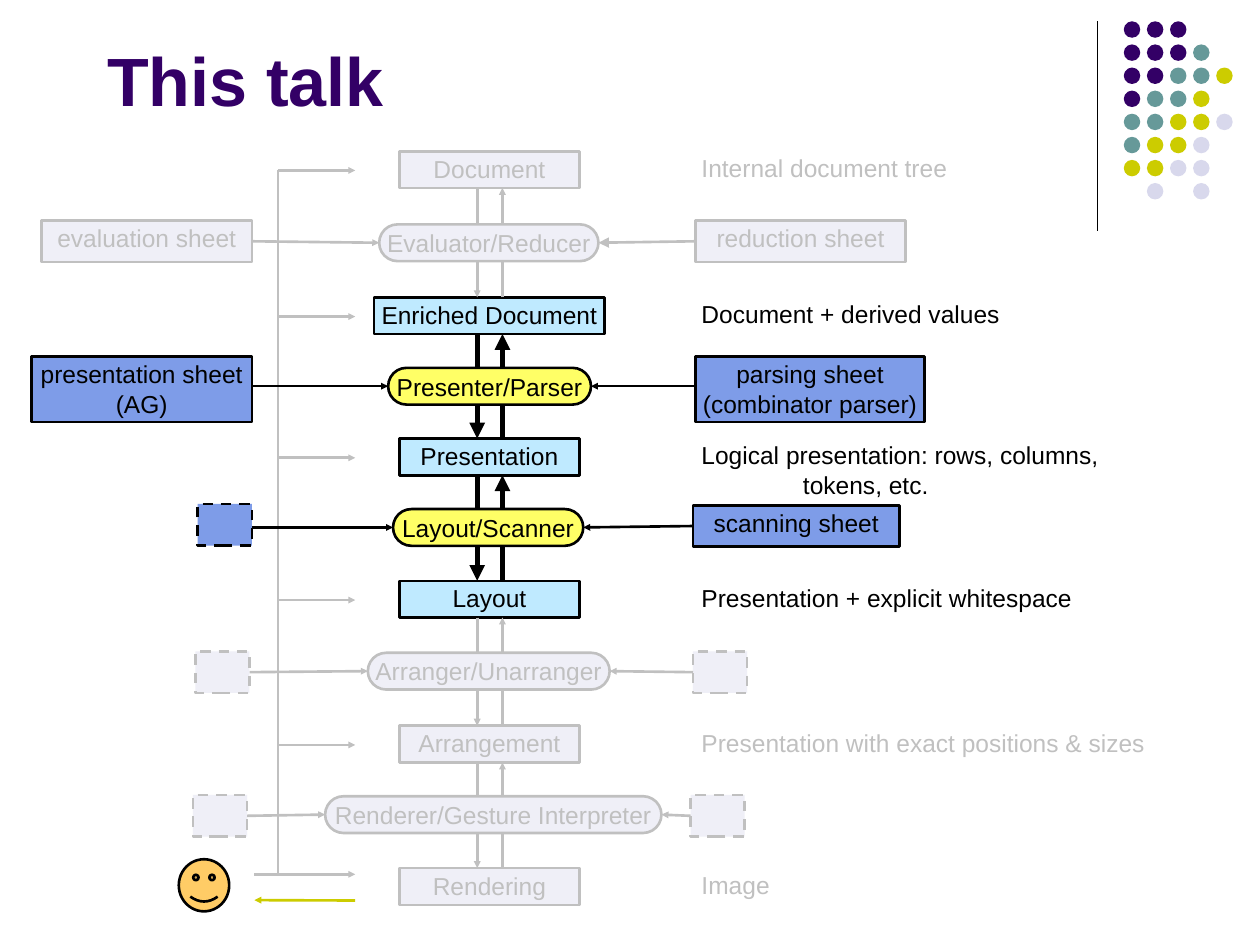
from dataclasses import dataclass

from lxml import etree
from pptx import Presentation
from pptx.dml.color import RGBColor
from pptx.enum.dml import MSO_LINE
from pptx.enum.shapes import MSO_CONNECTOR, MSO_SHAPE
from pptx.enum.text import MSO_ANCHOR, PP_ALIGN
from pptx.oxml.ns import qn
from pptx.util import Pt

RECTANGLE, PILL = MSO_SHAPE.RECTANGLE, MSO_SHAPE.ROUNDED_RECTANGLE
OVAL, SMILEY = MSO_SHAPE.OVAL, MSO_SHAPE.SMILEY_FACE
STRAIGHT, DASH = MSO_CONNECTOR.STRAIGHT, MSO_LINE.DASH
TOP, MIDDLE = MSO_ANCHOR.TOP, MSO_ANCHOR.MIDDLE
LEFT, CENTER = PP_ALIGN.LEFT, PP_ALIGN.CENTER
LEFT_SIDE, RIGHT_SIDE = 1, 3
TITLE_ONLY = 5


@dataclass(frozen=True)
class Theme:
    font: str = "Arial"
    title_size: float = 39
    text_size: float = 14
    thin: float = 1.5
    thick: float = 3
    rule: float = 0.75
    ink: str = "000000"
    faded_ink: str = "C0C0C0"
    faded_fill: str = "EFEFF7"
    level: str = "BFEAFF"
    step: str = "FFFF66"
    sheet: str = "7E9CE8"
    face: str = "FFCC66"
    purple: str = "330066"
    teal: str = "669999"
    olive: str = "CCCC00"
    lavender: str = "D8D8EC"


def apply(target, **values):
    for name, value in values.items():
        setattr(target, name, value)


class Diagram:
    def __init__(self, page, theme):
        self.page, self.theme = page, theme

    def ink(self, active):
        return self.theme.ink if active else self.theme.faded_ink

    def format_text(self, para, color, align, **extra):
        para.alignment = align
        style = {"name": self.theme.font, "size": Pt(self.theme.text_size), **extra}
        apply(para.font, **style)
        para.font.color.rgb = RGBColor.from_string(color)

    def title(self, text):
        box = self.page.shapes.title
        apply(box, left=Pt(54), top=Pt(0), width=Pt(612), height=Pt(90))
        box.text_frame.text = text
        box.text_frame.vertical_anchor = MIDDLE
        self.format_text(box.text_frame.paragraphs[0], self.theme.purple, LEFT,
                         size=Pt(self.theme.title_size), bold=True)

    def shape(self, kind, left, top, width, height, fill, line=None):
        box = self.page.shapes.add_shape(kind, Pt(left), Pt(top), Pt(width), Pt(height))
        box.shadow.inherit = False
        box.fill.solid()
        box.fill.fore_color.rgb = RGBColor.from_string(fill)
        if line:
            box.line.color.rgb = RGBColor.from_string(line)
            box.line.width = Pt(self.theme.thin)
        else:
            box.line.fill.background()
        return box

    def node(self, kind, left, top, width, height, fill, active, lines):
        """Draw a labelled box, greyed out unless active, dashed if it has no label."""
        color = self.ink(active)
        box = self.shape(kind, left, top, width, height,
                         fill if active else self.theme.faded_fill, color)
        if kind == PILL:
            box.adjustments[0] = 0.5
        if not lines:
            box.line.dash_style = DASH
            return box
        frame = box.text_frame
        apply(frame, word_wrap=False, vertical_anchor=MIDDLE if kind == PILL else TOP,
              margin_left=Pt(3.6), margin_right=Pt(3.6),
              margin_top=Pt(1.5), margin_bottom=Pt(1.5))
        for index, text in enumerate(lines):
            para = frame.add_paragraph() if index else frame.paragraphs[0]
            para.text = text
            self.format_text(para, color, CENTER)
        return box

    def note(self, left, top, active, lines):
        """Add a remark whose later lines are set in to a tab stop."""
        box = self.page.shapes.add_textbox(Pt(left), Pt(top), Pt(288), Pt(26))
        box.text_frame.word_wrap = True
        para = box.text_frame.paragraphs[0]
        if len(lines) > 1:
            tabs = etree.SubElement(para._p.get_or_add_pPr(), qn("a:tabLst"))
            etree.SubElement(tabs, qn("a:tab"), pos=str(Pt(58)), algn="l")
        for index, text in enumerate(lines):
            if index:
                para.add_line_break()
            para.add_run().text = "\t" + text if index else text
        self.format_text(para, self.ink(active), LEFT)

    def line(self, start, end, color, width=None, head=None):
        """Draw a straight line; head is the size of its arrowhead, sm or med."""
        link = self.page.shapes.add_connector(STRAIGHT, *map(Pt, start + end))
        link.line.color.rgb = RGBColor.from_string(color)
        link.line.width = Pt(width or self.theme.thin)
        properties = link._element.spPr
        if head:
            etree.SubElement(properties.find(qn("a:ln")), qn("a:tailEnd"),
                             type="triangle", w=head, len=head)
        etree.SubElement(properties, qn("a:effectLst"))
        return link

    def feed(self, sheet, step, from_left, active, head):
        """Point from a sheet to its step, level with the middle of the step."""
        near, far = (RIGHT_SIDE, LEFT_SIDE) if from_left else (LEFT_SIDE, RIGHT_SIDE)
        middle = (step.top + step.height / 2) / Pt(1)
        start = sheet.left + (sheet.width if from_left else 0)
        end = step.left + (0 if from_left else step.width)
        link = self.line((start / Pt(1), middle), (end / Pt(1), middle),
                         self.ink(active), head=head)
        if abs(sheet.top + sheet.height / 2 - Pt(middle)) < Pt(1):
            link.begin_connect(sheet, near)
        link.end_connect(step, far)

    def dots(self, rows, colors):
        for row, marks in enumerate(rows):
            for column, mark in enumerate(marks):
                if mark in colors:
                    self.shape(OVAL, 642.2 + 13.2 * column, 12.2 + 13.2 * row,
                               9.4, 9.4, colors[mark])


BOX_HEIGHT = 21
# name, left, top, width, active, note
LEVELS = [
    ("Document", 228.2, 86.4, 103, False, ["Internal document tree"]),
    ("Enriched Document", 213.8, 169.9, 131.8, True, ["Document + derived values"]),
    ("Presentation", 228.2, 250.6, 103, True,
     ["Logical presentation: rows, columns,", "tokens, etc."]),
    ("Layout", 228.2, 331.9, 103, True, ["Presentation + explicit whitespace"]),
    ("Arrangement", 228.2, 414.7, 103, False,
     ["Presentation with exact positions & sizes"]),
    ("Rendering", 228.2, 496.1, 103, False, ["Image"]),
]
# name, left, top, width, active, left sheet, right sheet
# a sheet is left, top, width, height, lines
STEPS = [
    ("Evaluator/Reducer", 216.7, 128.2, 125.3, False,
     (23.8, 126, 120.2, 23.8, ["evaluation sheet"]),
     (397.4, 126, 120.2, 23.8, ["reduction sheet"])),
    ("Presenter/Parser", 221.8, 210.2, 115.9, True,
     (18, 203.8, 126, 37.4, ["presentation sheet", "(AG)"]),
     (397.4, 203.8, 131, 37.4, ["parsing sheet", "(combinator parser)"])),
    ("Layout/Scanner", 224.6, 290.9, 108.7, True,
     (113, 288, 31, 23.8, []),
     (396, 288.7, 118.1, 23.8, ["scanning sheet"])),
    ("Arranger/Unarranger", 210.2, 373, 138.2, False,
     (111.6, 372.2, 31, 23.8, []), (396, 372.2, 31, 23.8, [])),
    ("Renderer/Gesture Interpreter", 185.8, 455, 192.2, False,
     (110.2, 454.3, 31, 23.8, []), (394.6, 454.3, 31, 23.8, [])),
]
DOT_ROWS = ["PPP", "PPPT", "PPTTY", "PTTY", "TTYYL", "TYYL", "YYLL", " L L"]
TRUNK, TICK_END, USER_SIDE = 158.8, 203, 145.4
DOWN, UP = 272.7, 287.1


def main():
    theme = Theme()
    deck = Presentation()
    apply(deck, slide_width=Pt(720), slide_height=Pt(540))
    page = deck.slides.add_slide(deck.slide_layouts[TITLE_ONLY])
    diagram = Diagram(page, theme)

    diagram.title("This talk")
    diagram.line((627.1, 12.2), (627.1, 131.8), theme.ink, theme.rule)
    diagram.dots(DOT_ROWS, {"P": theme.purple, "T": theme.teal,
                            "Y": theme.olive, "L": theme.lavender})

    grey = theme.faded_ink
    ticks = [top + 11 for _, _, top, *_ in LEVELS[:-1]] + [499.6]
    diagram.line((TRUNK, ticks[0]), (TRUNK, ticks[-1]), grey)
    for height in ticks:
        start = USER_SIDE if height == ticks[-1] else TRUNK
        diagram.line((start, height), (TICK_END, height), grey, head="sm")
    diagram.line((TICK_END, 514.6), (USER_SIDE, 514.4), theme.olive, head="sm")
    diagram.shape(SMILEY, 102.2, 491, 28.8, 29.8, theme.face, theme.ink)

    for name, left, top, width, active, note in LEVELS:
        diagram.node(RECTANGLE, left, top, width, BOX_HEIGHT, theme.level, active, [name])
        diagram.note(393.8, top - 2.5, active, note)

    for index, (name, left, top, width, active, *sheets) in enumerate(STEPS):
        upper, lower = LEVELS[index][2] + BOX_HEIGHT, LEVELS[index + 1][2]
        weight, head = (theme.thick, "med") if active else (theme.thin, "sm")
        diagram.line((DOWN, upper), (DOWN, lower), diagram.ink(active), weight, head)
        diagram.line((UP, lower), (UP, upper), diagram.ink(active), weight, head)
        step = diagram.node(PILL, left, top, width, BOX_HEIGHT, theme.step, active, [name])
        for side, (x, y, across, high, lines) in enumerate(sheets):
            sheet = diagram.node(RECTANGLE, x, y, across, high, theme.sheet, active, lines)
            large = side == 1 and index == 0
            diagram.feed(sheet, step, side == 0, active, "med" if large else "sm")

    deck.save("out.pptx")


if __name__ == "__main__":
    main()
